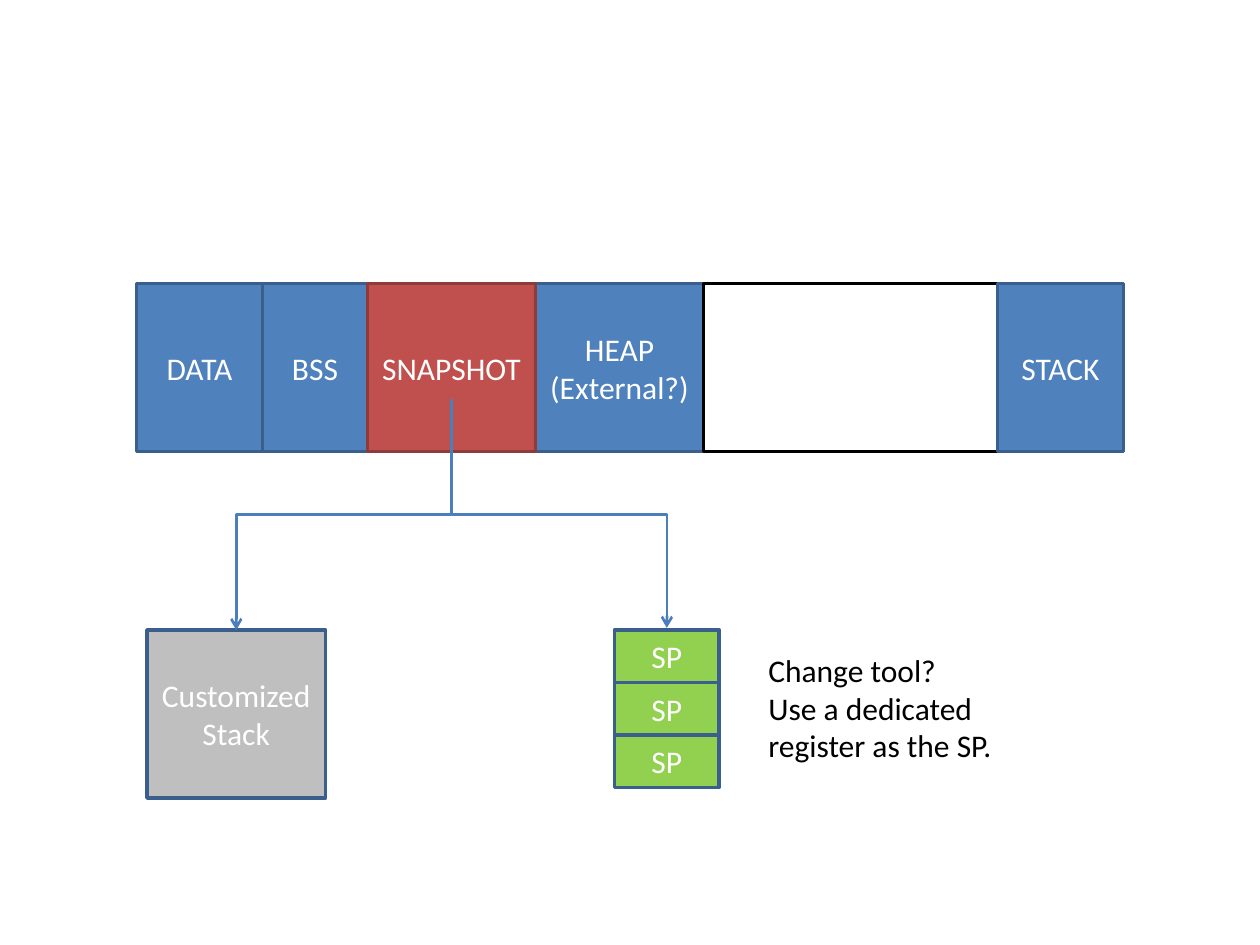
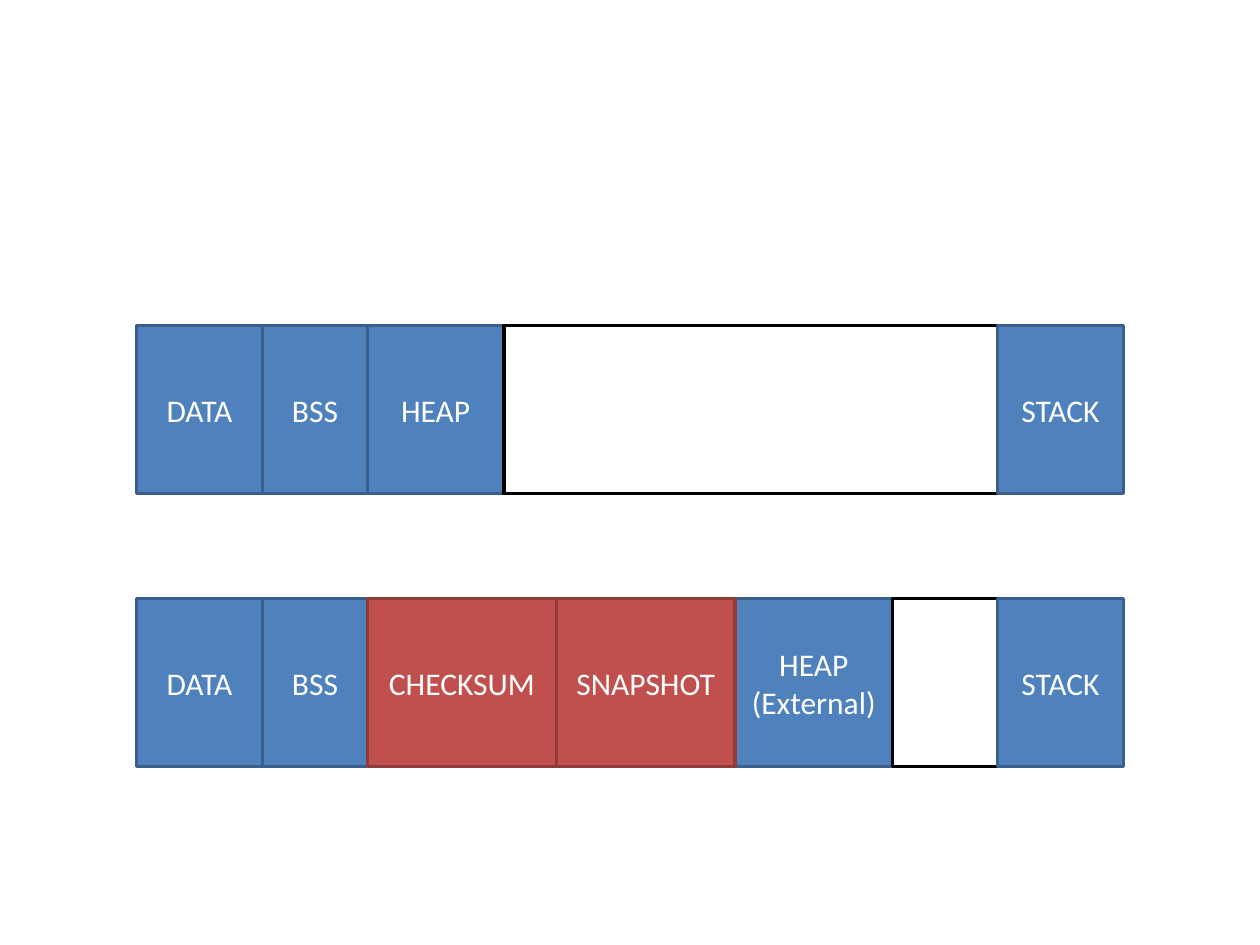
import lxml.etree
import pptx
import pptx.dml.color
import pptx.enum.shapes
import pptx.enum.text
import pptx.oxml.ns
import pptx.util

RGBColor = pptx.dml.color.RGBColor
WHITE = RGBColor(0xFF, 0xFF, 0xFF)
BLACK = RGBColor(0, 0, 0)
BLUE = RGBColor(0x4F, 0x81, 0xBD)
NAVY = RGBColor(0x3A, 0x5F, 0x8C)
RED = RGBColor(0xC0, 0x50, 0x4D)
MAROON = RGBColor(0x8E, 0x3B, 0x39)
GREY = RGBColor(0xBF, 0xBF, 0xBF)
GREEN = RGBColor(0x92, 0xD0, 0x50)
ARROW_BLUE = RGBColor(0x4B, 0x7E, 0xBC)

GRID_COLUMNS, GRID_ROWS = 120, 90
SLIDE_WIDTH, SLIDE_HEIGHT = pptx.util.Inches(10), pptx.util.Inches(7.5)
SEGMENT_HEIGHT = 16
MAP_LEFT, MAP_WIDTH = 13, 94
FONT = {"name": "Calibri", "size": pptx.util.Pt(18)}
FRAME = {"word_wrap": True, "vertical_anchor": pptx.enum.text.MSO_ANCHOR.MIDDLE}

PLAIN, SAVED, FREE = (BLUE, NAVY), (RED, MAROON), (WHITE, BLACK)
DATA, BSS, STACK = ("DATA", 12, PLAIN), ("BSS", 10, PLAIN), ("STACK", 12, PLAIN)
BRANCH_MAP = [DATA, BSS, ("SNAPSHOT", 16, SAVED), ("HEAP\n(External?)", 16, PLAIN),
              ("", 28, FREE), STACK]
BEFORE_MAP = [DATA, BSS, ("HEAP", 13, PLAIN), ("", 47, FREE), STACK]
AFTER_MAP = [DATA, BSS, ("CHECKSUM", 18, SAVED), ("SNAPSHOT", 17, SAVED),
             ("HEAP\n(External)", 15, PLAIN), ("", 10, FREE), STACK]


def across(columns):
    """Turn grid columns into a length."""
    return round(SLIDE_WIDTH * columns / GRID_COLUMNS)


def down(rows):
    """Turn grid rows into a length."""
    return round(SLIDE_HEIGHT * rows / GRID_ROWS)


def to_lengths(box):
    """Turn a grid box into left, top, width and height."""
    left, top, width, height = box
    return across(left), down(top), across(width), down(height)


def apply_format(target, values):
    """Set each named attribute of the target."""
    for name, value in values.items():
        setattr(target, name, value)


def write_text(frame, text, color, align):
    """Write one formatted paragraph for each line of text."""
    frame.text = text
    for para in frame.paragraphs:
        para.alignment = align
        for span in para.runs:
            apply_format(span.font, FONT)
            span.font.color.rgb = color


def add_block(page, box, text, colors):
    """Draw a labelled rectangle in a grid box."""
    fill, outline = colors
    block = page.shapes.add_shape(pptx.enum.shapes.MSO_SHAPE.RECTANGLE, *to_lengths(box))
    block.shadow.inherit = False
    block.fill.solid()
    block.fill.fore_color.rgb = fill
    block.line.color.rgb = outline
    block.line.width = pptx.util.Pt(2)
    apply_format(block.text_frame, FRAME)
    if text:
        write_text(block.text_frame, text, WHITE, pptx.enum.text.PP_ALIGN.CENTER)


def add_elbow(page, start, end, bend, upright=False):
    """Draw an elbow arrow; an upright one leaves its start downwards."""
    left, top, right, bottom = across(start[0]), down(start[1]), across(end[0]), down(end[1])
    if upright:
        middle_x, middle_y = (left + right) // 2, (top + bottom) // 2
        half_length, half_breadth = (bottom - top) // 2, abs(right - left) // 2
        left, right = middle_x - half_length, middle_x + half_length
        top, bottom = middle_y - half_breadth, middle_y + half_breadth
    elbow = page.shapes.add_connector(
        pptx.enum.shapes.MSO_CONNECTOR.ELBOW, left, top, right, bottom)
    elbow.line.color.rgb = ARROW_BLUE
    elbow.line.width = pptx.util.Pt(1.5)
    qn = pptx.oxml.ns.qn
    properties = elbow.element.spPr
    if upright:
        properties.find(qn("a:xfrm")).set("rot", str(90 * 60000))
    guides = properties.find(qn("a:prstGeom")).get_or_add_avLst()
    lxml.etree.SubElement(guides, qn("a:gd"), name="adj1", fmla=f"val {round(bend * 100000)}")
    lxml.etree.SubElement(properties.find(qn("a:ln")), qn("a:tailEnd"), type="arrow")
    lxml.etree.SubElement(properties, qn("a:effectLst"))


def add_memory_map(page, box, segments):
    """Lay segments side by side, with the saved ones in front."""
    left, top, width, height = box
    unit = width / sum(columns for _, columns, _ in segments)
    placed = []
    for text, columns, colors in segments:
        placed.append(((left, top, columns * unit, height), text, colors))
        left += columns * unit
    for segment in sorted(placed, key=lambda item: item[2] == SAVED):
        add_block(page, *segment)


def add_snapshot_parts(page, box):
    """Branch from the snapshot to the custom stack and the stack pointers."""
    left, top, width, height = box
    parts_top = top + height - SEGMENT_HEIGHT
    stack_width, pointer_width, pointer_height = 17, 10, 5
    pointer_left = left + width - pointer_width
    root = left + 29
    add_block(page, (left, parts_top, stack_width, SEGMENT_HEIGHT),
              "Customized Stack", (GREY, NAVY))
    for index in range(3):
        pointer_top = parts_top + index * pointer_height
        add_block(page, (pointer_left, pointer_top, pointer_width, pointer_height),
                  "SP", (GREEN, NAVY))
    add_elbow(page, (root, top), (left + stack_width / 2, parts_top), 0.5, upright=True)
    add_elbow(page, (root, (top + parts_top) / 2),
              (pointer_left + pointer_width / 2, parts_top - 0.2), 1.001)


def add_note(page, box, text):
    """Write a plain note in a grid box."""
    note = page.shapes.add_textbox(*to_lengths(box))
    note.text_frame.word_wrap = True
    write_text(note.text_frame, text, BLACK, pptx.enum.text.PP_ALIGN.LEFT)


def build_branch_page(page):
    """Show the snapshot in memory and what it holds."""
    add_memory_map(page, (MAP_LEFT, 27, MAP_WIDTH, SEGMENT_HEIGHT), BRANCH_MAP)
    add_snapshot_parts(page, (14, 38, 54.5, 38))
    add_note(page, (72, 61.4, 31, 12),
             "Change tool?\nUse a dedicated register as the SP.")


def build_comparison_page(page):
    """Show the memory before and after adding the saved segments."""
    for top, segments in ((31, BEFORE_MAP), (57, AFTER_MAP)):
        add_memory_map(page, (MAP_LEFT, top, MAP_WIDTH, SEGMENT_HEIGHT), segments)


def main():
    """Build and save the deck."""
    deck = pptx.Presentation()
    apply_format(deck, {"slide_width": SLIDE_WIDTH, "slide_height": SLIDE_HEIGHT})
    for build in (build_branch_page, build_comparison_page):
        build(deck.slides.add_slide(deck.slide_layouts[6]))
    deck.save("out.pptx")


if __name__ == "__main__":
    main()
